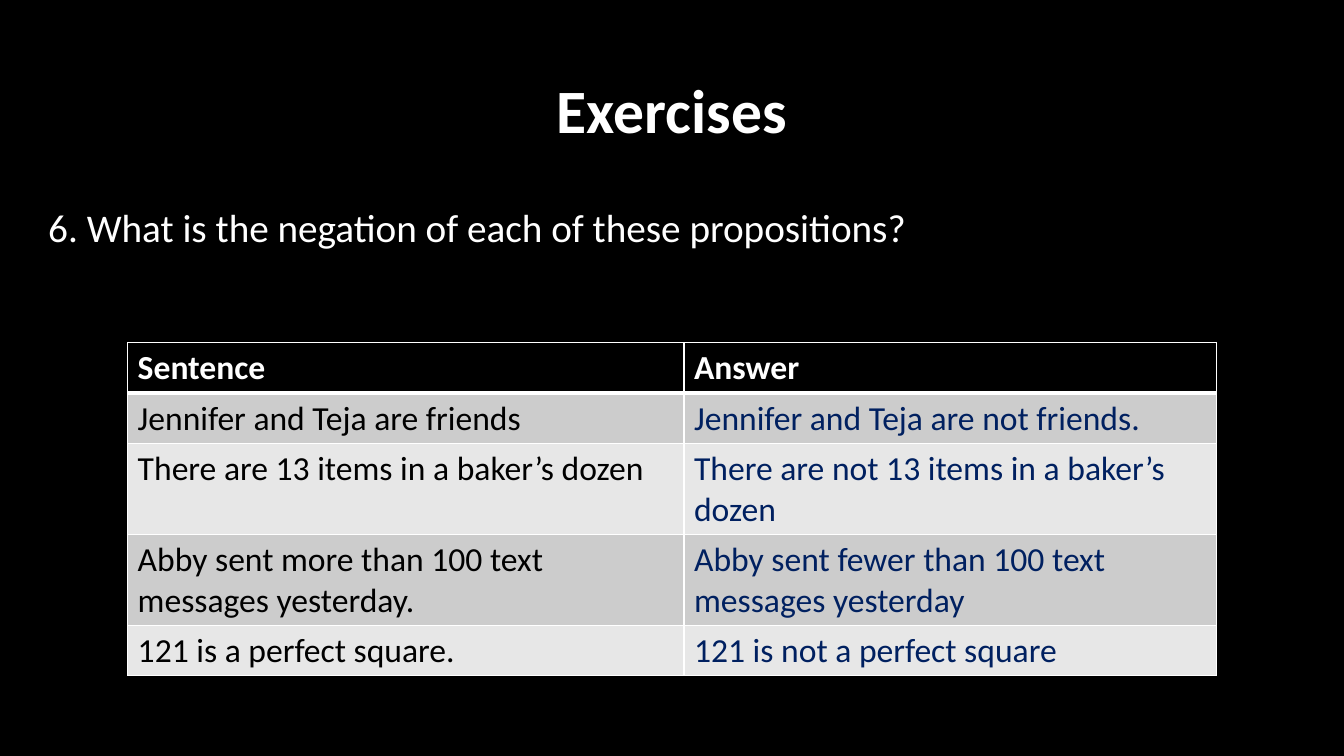
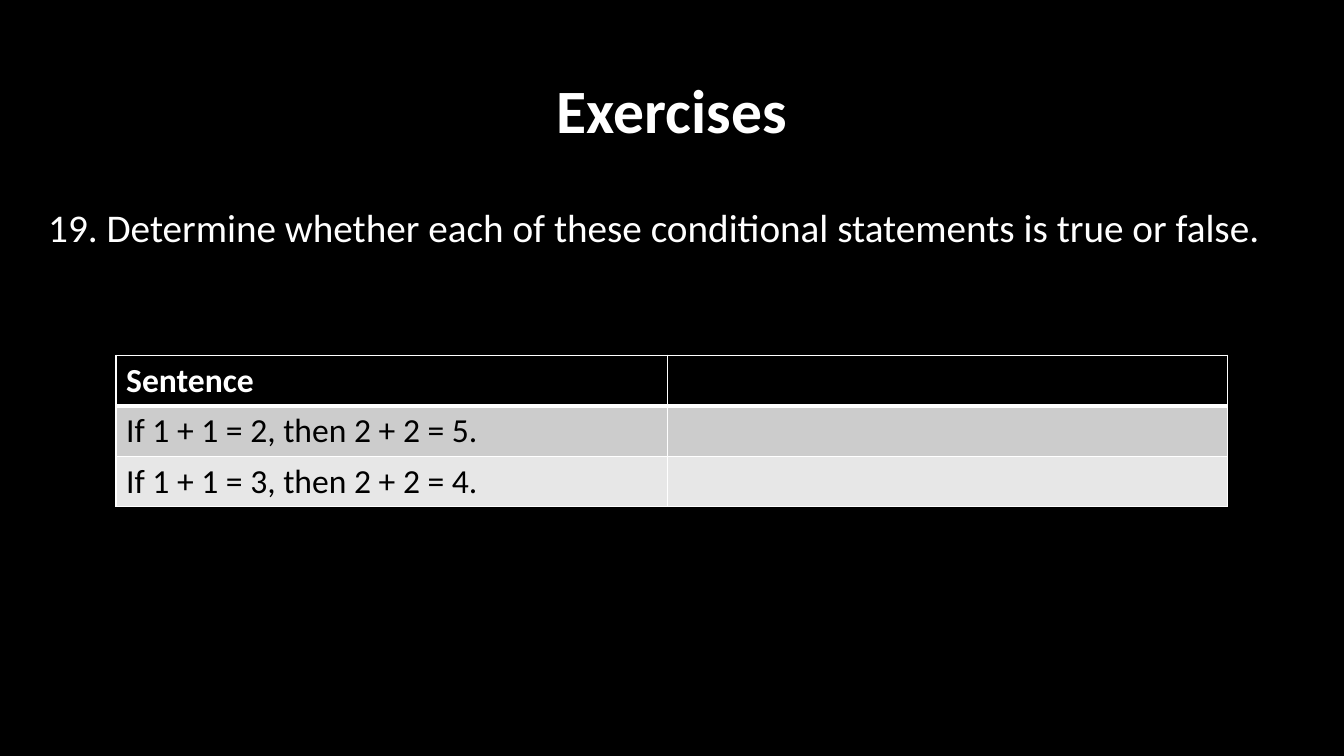
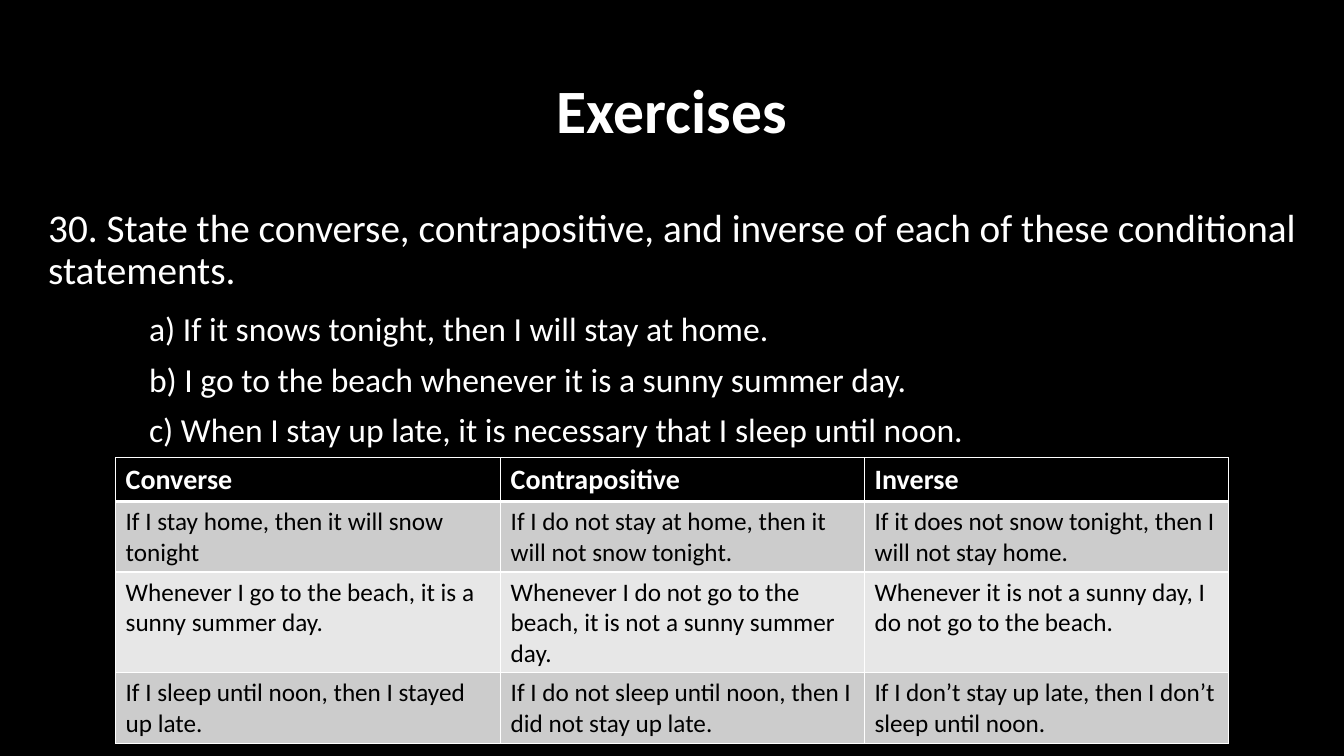
from dataclasses import dataclass

from lxml.etree import SubElement
from pptx import Presentation
from pptx.dml.color import RGBColor
from pptx.enum.text import MSO_ANCHOR, PP_ALIGN
from pptx.oxml.ns import qn
from pptx.slide import Slide
from pptx.table import _Cell
from pptx.text.text import TextFrame, _Paragraph
from pptx.util import Inches, Pt

# Grid of square cells, twelve to the inch
COLUMNS, ROWS = 160, 90
FONT = "Calibri"
COLORS = {
    "background": "000000",
    "light": "FFFFFF",
    "dark": "000000",
    "answer": "002060",
    "odd row": "CCCCCC",
    "even row": "E7E7E7",
}
TITLE = "Exercises"
THIN, THICK = 1, 3


@dataclass(frozen=True)
class Box:
    column: float
    row: float
    columns: float
    rows: float


@dataclass(frozen=True)
class TextStyle:
    size: float
    color: str = "light"
    bold: bool = False


@dataclass(frozen=True)
class Grid:
    top: float
    widths: tuple[float, ...]
    row_height: float
    cells: tuple[tuple[str, ...], ...]
    header_size: float = 24
    body_size: float = 24
    answer_column: int | None = None


@dataclass(frozen=True)
class Exercise:
    question: str
    grid: Grid
    statements: tuple[str, ...] = ()


TITLE_BOX = Box(11, 4.8, 138, 17.4)
QUESTION_BOX = Box(4.56, 24.24, 150.96, 57.12)
TITLE_STYLE = TextStyle(44, bold=True)
QUESTION_STYLE = TextStyle(28)
STATEMENT_STYLE = TextStyle(24)
STATEMENT_INDENT = 12

EXERCISES = (
    Exercise(
        "6. What is the negation of each of these propositions?",
        Grid(40.8, (66.24, 63.36), 5.76, (
            ("Sentence", "Answer"),
            ("Jennifer and Teja are friends", "Jennifer and Teja are not friends."),
            ("There are 13 items in a baker’s dozen",
             "There are not 13 items in a baker’s dozen"),
            ("Abby sent more than 100 text messages yesterday.",
             "Abby sent fewer than 100 text messages yesterday"),
            ("121 is a perfect square.", "121 is not a perfect square"),
        ), answer_column=1),
    ),
    Exercise(
        "19. Determine whether each of these conditional statements is true or false.",
        Grid(42.3, (65.64, 66.72), 4.92, (
            ("Sentence", ""),
            ("If 1 + 1 = 2, then 2 + 2 = 5.", ""),
            ("If 1 + 1 = 3, then 2 + 2 = 4.", ""),
        )),
    ),
    Exercise(
        "30. State the converse, contrapositive, and inverse of each of these "
        "conditional statements.",
        Grid(54.48, (45.84, 43.32, 43.32), 4.92, (
            ("Converse", "Contrapositive", "Inverse"),
            ("If I stay home, then it will snow tonight",
             "If I do not stay at home, then it will not snow tonight.",
             "If it does not snow tonight, then I will not stay home."),
            ("Whenever I go to the beach, it is a sunny summer day.",
             "Whenever I do not go to the beach, it is not a sunny summer day.",
             "Whenever it is not a sunny day, I do not go to the beach."),
            ("If I sleep until noon, then I stayed up late.",
             "If I do not sleep until noon, then I\ndid not stay up late.",
             "If I don’t stay up late, then I don’t sleep until noon."),
        ), header_size=20, body_size=18),
        ("a) If it snows tonight, then I will stay at home.",
         "b) I go to the beach whenever it is a sunny summer day.",
         "c) When I stay up late, it is necessary that I sleep until noon."),
    ),
)


def cells(count: float) -> int:
    """Length of a number of grid cells."""
    return Inches(count / 12)


def rgb(name: str) -> RGBColor:
    return RGBColor.from_string(COLORS[name])


def style_paragraph(paragraph: _Paragraph, style: TextStyle) -> None:
    values = {"name": FONT, "size": Pt(style.size), "bold": style.bold}
    for run in paragraph.runs:
        for attribute, value in values.items():
            setattr(run.font, attribute, value)
        run.font.color.rgb = rgb(style.color)


def add_text_frame(slide: Slide, box: Box, anchor: MSO_ANCHOR) -> TextFrame:
    shape = slide.shapes.add_textbox(
        cells(box.column), cells(box.row), cells(box.columns), cells(box.rows))
    frame = shape.text_frame
    frame.word_wrap = True
    frame.vertical_anchor = anchor
    return frame


def write_line(paragraph: _Paragraph, text: str, style: TextStyle,
               before: float = 0, align: PP_ALIGN = PP_ALIGN.LEFT) -> None:
    paragraph.text = text
    values = {"line_spacing": 0.9, "space_before": Pt(before), "alignment": align}
    for attribute, value in values.items():
        setattr(paragraph, attribute, value)
    style_paragraph(paragraph, style)


def add_title(slide: Slide) -> None:
    frame = add_text_frame(slide, TITLE_BOX, MSO_ANCHOR.MIDDLE)
    write_line(frame.paragraphs[0], TITLE, TITLE_STYLE, align=PP_ALIGN.CENTER)


def add_question(slide: Slide, exercise: Exercise) -> None:
    frame = add_text_frame(slide, QUESTION_BOX, MSO_ANCHOR.TOP)
    write_line(frame.paragraphs[0], exercise.question, QUESTION_STYLE, before=10)
    for index, statement in enumerate(exercise.statements):
        paragraph = frame.add_paragraph()
        # The first statement stands a little further from the question
        write_line(paragraph, statement, STATEMENT_STYLE, before=10 if index else 14)
        paragraph._p.get_or_add_pPr().set("marL", str(cells(STATEMENT_INDENT)))


def set_borders(cell: _Cell, top: float, bottom: float) -> None:
    properties = cell._tc.get_or_add_tcPr()
    widths = {"a:lnL": THIN, "a:lnR": THIN, "a:lnT": top, "a:lnB": bottom}
    for position, (tag, width) in enumerate(widths.items()):
        line = SubElement(properties, qn(tag), w=str(Pt(width)))
        fill = SubElement(line, qn("a:solidFill"))
        SubElement(fill, qn("a:srgbClr"), val=COLORS["light"])
        # Borders come before the cell's fill
        properties.insert(position, line)


def add_grid(slide: Slide, grid: Grid) -> None:
    width = sum(grid.widths)
    row_count = len(grid.cells)
    table = slide.shapes.add_table(
        row_count, len(grid.widths),
        cells((COLUMNS - width) / 2), cells(grid.top),
        cells(width), cells(grid.row_height * row_count)).table
    for column, column_width in zip(table.columns, grid.widths):
        column.width = cells(column_width)

    for row_index, texts in enumerate(grid.cells):
        table.rows[row_index].height = cells(grid.row_height)
        is_header = row_index == 0
        fill = "background" if is_header else "odd row" if row_index % 2 else "even row"
        for column_index, text in enumerate(texts):
            if is_header:
                style = TextStyle(grid.header_size, bold=True)
            else:
                is_answer = column_index == grid.answer_column
                style = TextStyle(grid.body_size, "answer" if is_answer else "dark")
            cell = table.cell(row_index, column_index)
            cell.text = text
            for paragraph in cell.text_frame.paragraphs:
                style_paragraph(paragraph, style)
            cell.fill.solid()
            cell.fill.fore_color.rgb = rgb(fill)
            set_borders(cell, top=THICK if row_index == 1 else THIN,
                        bottom=THICK if is_header else THIN)


def main() -> None:
    presentation = Presentation()
    presentation.slide_width = cells(COLUMNS)
    presentation.slide_height = cells(ROWS)
    # Shared background
    background = presentation.slide_master.background.fill
    background.solid()
    background.fore_color.rgb = rgb("background")

    for exercise in EXERCISES:
        slide = presentation.slides.add_slide(presentation.slide_layouts[6])
        add_title(slide)
        add_question(slide, exercise)
        add_grid(slide, exercise.grid)
    presentation.save("out.pptx")


if __name__ == "__main__":
    main()
